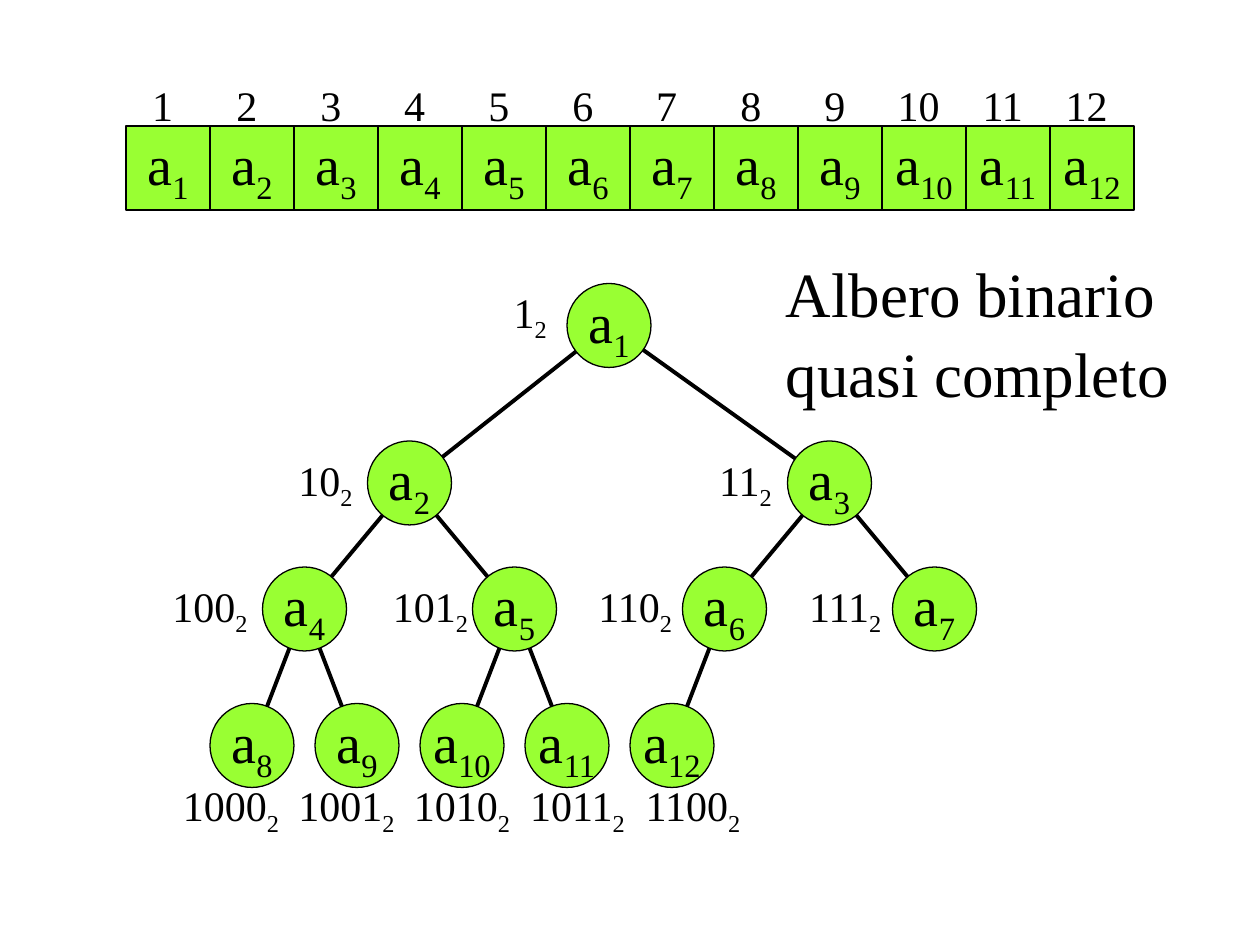
"""Build a slide showing an array and its almost complete binary tree."""
from lxml import etree
from pptx import Presentation
from pptx.dml.color import RGBColor
from pptx.enum.shapes import MSO_CONNECTOR, MSO_SHAPE
from pptx.enum.text import MSO_ANCHOR, PP_ALIGN
from pptx.oxml.ns import qn
from pptx.util import Pt

STRAIGHT = MSO_CONNECTOR.STRAIGHT
RECT, OVAL = MSO_SHAPE.RECTANGLE, MSO_SHAPE.OVAL
MIDDLE, TOP = MSO_ANCHOR.MIDDLE, MSO_ANCHOR.TOP
CENTER, LEFT = PP_ALIGN.CENTER, PP_ALIGN.LEFT

COLORS = {"ink": "000000", "cell": "99FF33"}
FONT = "Times New Roman"
CAPTION = ["Albero binario", "quasi completo"]
COUNT = 12
CELL = 48
ARRAY_LEFT, ARRAY_TOP = 72, 72
LEVELS = [
    {"left": 348, "step": 0, "y": 186, "label_y": 180, "labels": [303]},
    {"left": 234, "step": 240, "y": 276, "label_y": 276, "labels": [186, 426]},
    {"left": 174, "step": 120, "y": 348, "label_y": 348, "labels": [120, 246, 363, 483]},
    {"left": 144, "step": 60, "y": 426, "label_y": 462, "labels": [132, 198, 264, 330, 396]},
]


def color(name):
    return RGBColor.from_string(COLORS[name])


def write(shape, lines, sub="", size=24, align=CENTER, anchor=MIDDLE, wrap=False, spacing=1.0):
    frame = shape.text_frame
    frame.word_wrap = wrap
    frame.vertical_anchor = anchor
    for i, line in enumerate(lines):
        paragraph = frame.paragraphs[0] if i == 0 else frame.add_paragraph()
        paragraph.alignment = align
        paragraph.line_spacing = spacing
        for text, baseline in ((line, None), (sub, "-25000")):
            if not text:
                continue
            run = paragraph.add_run()
            run.text = text
            run.font.name = FONT
            run.font.size = Pt(size)
            run.font.color.rgb = color("ink")
            if baseline:
                run._r.get_or_add_rPr().set("baseline", baseline)


def add_element(kind, x, y, n):
    element = slide.shapes.add_shape(kind, Pt(x), Pt(y), Pt(CELL), Pt(CELL))
    element.shadow.inherit = False
    element.fill.solid()
    element.fill.fore_color.rgb = color("cell")
    element.line.color.rgb = color("ink")
    element.line.width = Pt(0.75)
    write(element, ["a"], sub=str(n), size=32)


def add_label(text, x, y, width=72, sub=""):
    label = slide.shapes.add_textbox(Pt(x - width / 2), Pt(y - 18), Pt(width), Pt(36))
    write(label, [text], sub=sub)


def add_edge(parent, child):
    edge = slide.shapes.add_connector(STRAIGHT, *map(Pt, parent + child))
    edge.line.color.rgb = color("ink")
    edge.line.width = Pt(2.25)
    etree.SubElement(edge._element.spPr, qn("a:effectLst"))


prs = Presentation()
prs.slide_width, prs.slide_height = Pt(720), Pt(540)
slide = prs.slides.add_slide(prs.slide_layouts[6])

nodes, labels = {}, {}
for depth, level in enumerate(LEVELS):
    for i, label_x in enumerate(level["labels"]):
        n = 2 ** depth + i
        nodes[n] = (level["left"] + i * level["step"], level["y"])
        labels[n] = (label_x, level["label_y"])

for n in range(2, COUNT + 1):
    add_edge(nodes[n // 2], nodes[n])
for n, (x, y) in nodes.items():
    add_element(OVAL, x - CELL / 2, y - CELL / 2, n)
    add_label(format(n, "b"), *labels[n], sub="2")

for i in range(COUNT):
    x = ARRAY_LEFT + i * CELL
    add_element(RECT, x, ARRAY_TOP, i + 1)
    add_label(str(i + 1), x + CELL / 2 - 3, 60, width=CELL)

caption = slide.shapes.add_textbox(Pt(442), Pt(140), Pt(260), Pt(94))
write(caption, CAPTION, size=36, align=LEFT, anchor=TOP, wrap=True, spacing=1.05)

prs.save("out.pptx")
